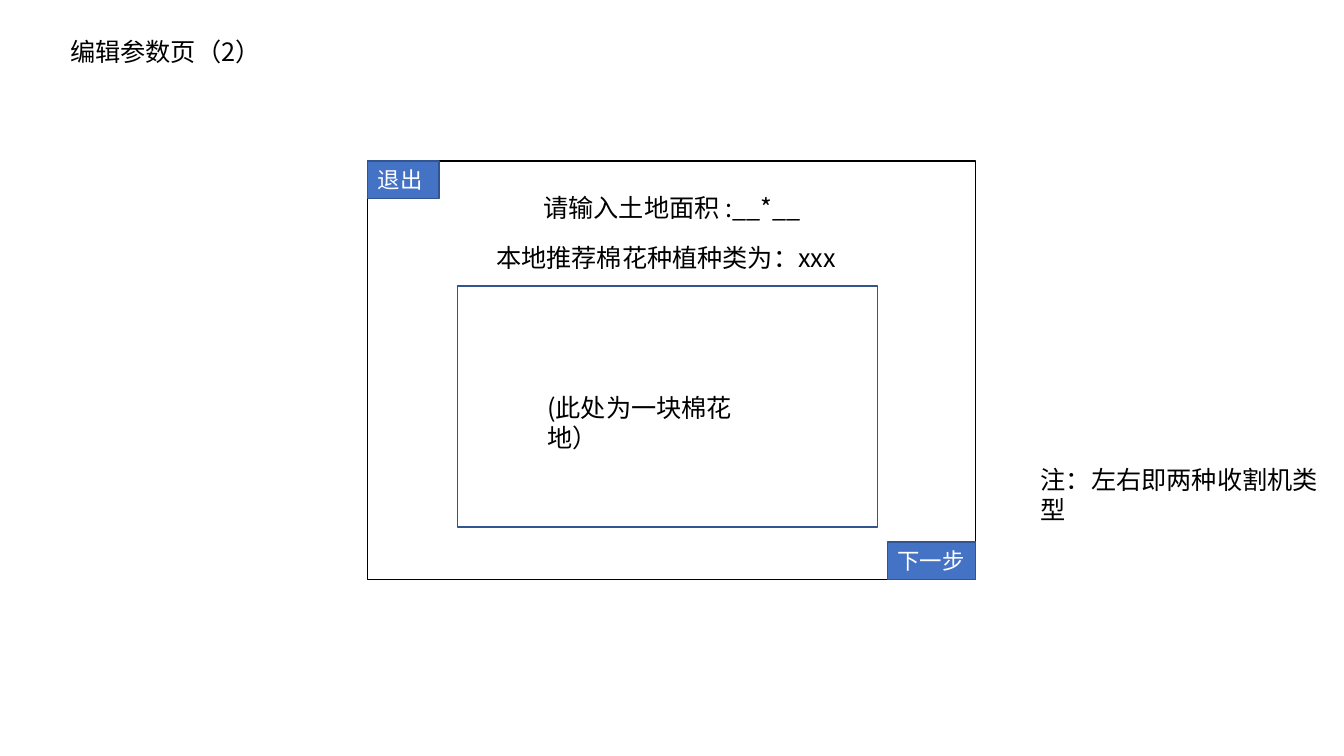
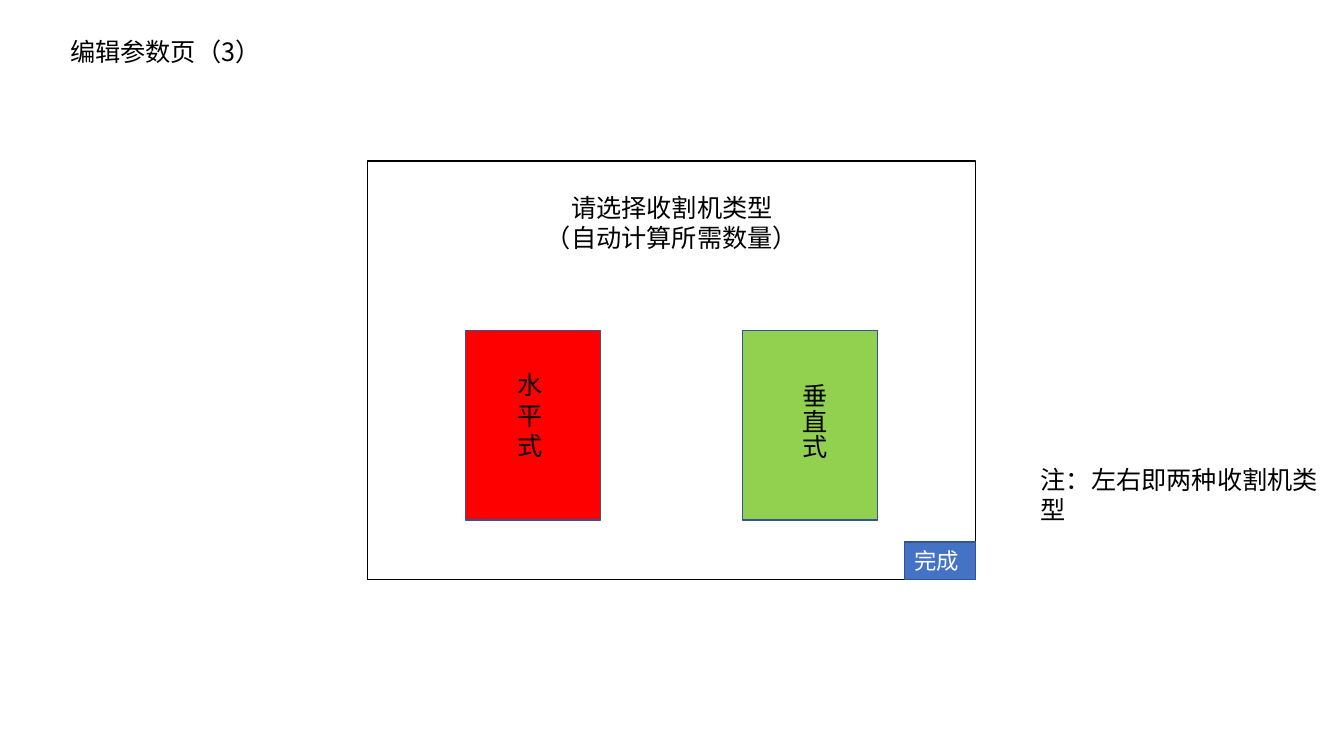
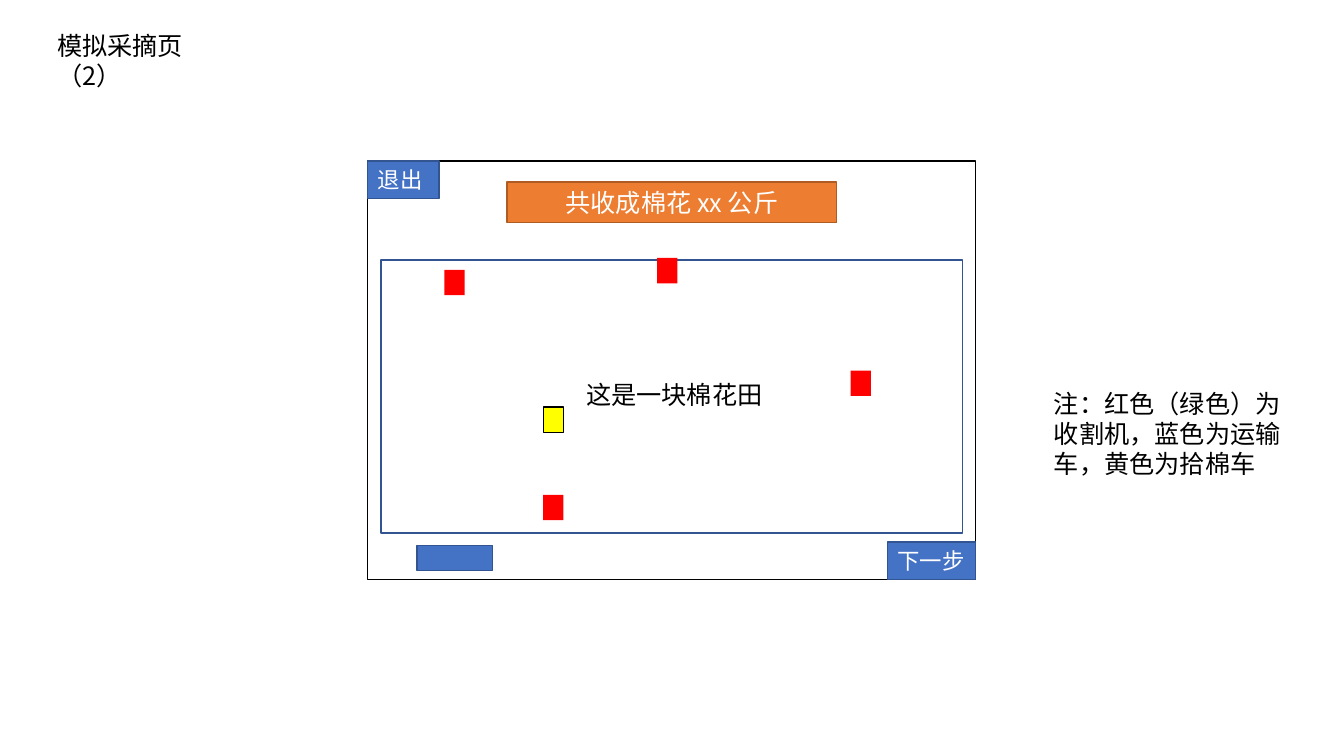
from dataclasses import dataclass

from lxml.etree import SubElement as Sub
from pptx import Presentation
from pptx.dml.color import RGBColor as Rgb
from pptx.enum.shapes import MSO_SHAPE as Kind
from pptx.enum.text import MSO_ANCHOR as Anchor, MSO_AUTO_SIZE as Fit, PP_ALIGN as Align
from pptx.oxml.ns import qn
from pptx.util import Cm, Pt


@dataclass(frozen=True)
class Theme:
    """Hold the colours, type sizes and font of the deck."""
    font: str = "Noto Sans CJK SC"
    body: int = 18
    small: int = 16
    line: int = 1
    black: str = "000000"
    white: str = "FFFFFF"
    blue: str = "4472C4"
    navy: str = "325491"
    orange: str = "ED7D31"
    brown: str = "AF5C24"
    red: str = "FF0000"
    green: str = "92D050"
    yellow: str = "FFFF00"


LOOK = Theme()
PAGE = (33.87, 19.05)
PANEL = (9.27, 4.06, 15.32, 10.54)
FRAME = dict(auto_size=Fit.SHAPE_TO_FIT_TEXT, word_wrap=True,
             vertical_anchor=Anchor.TOP)
ROW = 1.02
CAR = (0.51, 0.64)
TAB = 0.94


def within(box, part):
    """Shift a part into the box that holds it."""
    return (box[0] + part[0], box[1] + part[1], *part[2:])


def write(shape, text, size=LOOK.body, color=LOOK.black, align=Align.LEFT, turn=None):
    """Set the text of a shape and format every paragraph."""
    frame = shape.text_frame
    for name, value in FRAME.items():
        setattr(frame, name, value)
    frame.text = text
    style = dict(name=LOOK.font, size=Pt(size))
    for para in frame.paragraphs:
        para.alignment = align
        for run in para.runs:
            for name, value in style.items():
                setattr(run.font, name, value)
            run.font.color.rgb = Rgb.from_string(color)
    for props in shape.element.iter(qn("a:rPr")):
        Sub(props, qn("a:ea")).set("typeface", LOOK.font)
    if turn:
        next(shape.element.iter(qn("a:bodyPr"))).set("vert", turn)


def label(slide, box, text, **style):
    """Add a text box."""
    write(slide.shapes.add_textbox(*map(Cm, box)), text, **style)


def block(slide, box, fill=None, line=None):
    """Add a flat rectangle."""
    shape = slide.shapes.add_shape(Kind.RECTANGLE, *map(Cm, box))
    shape.shadow.inherit = False
    for paint, color in ((shape.fill, fill), (shape.line.fill, line)):
        if color:
            paint.solid()
            paint.fore_color.rgb = Rgb.from_string(color)
        else:
            paint.background()
    if line:
        shape.line.width = Pt(LOOK.line)
    return shape


def button(slide, box, text):
    """Add a blue button."""
    write(block(slide, box, LOOK.blue, LOOK.navy), text, LOOK.small, LOOK.white)


def leave(slide, box):
    """Add the exit button at the top left of a box."""
    button(slide, within(box, (0, 0, 1.8, TAB)), "退出")


def proceed(slide, box, text, width):
    """Add a button at the bottom right of a box."""
    button(slide, within(box, (box[2] - width, box[3] - TAB, width, TAB)), text)


def start(deck, title, head, note, side):
    """Add a slide with its title, screen outline and side note."""
    slide = deck.slides.add_slide(deck.slide_layouts[6])
    label(slide, head, title)
    block(slide, PANEL, line=LOOK.black)
    label(slide, side, note)
    return slide


def land(slide, box):
    """Fill a screen with the land size form."""
    block(slide, within(box, (2.26, 3.15, 10.59, 6.07)), line=LOOK.navy)
    for part, text in (((1.8, 0.66, 11.73, ROW), "请输入土地面积 :__*__"),
                       ((2.74, 1.93, 9.55, ROW), "本地推荐棉花种植种类为：xxx")):
        label(slide, within(box, part), text, align=Align.CENTER)
    label(slide, within(box, (4.27, 5.69, 6.05, ROW)), "(此处为一块棉花地）")
    leave(slide, box)
    proceed(slide, box, "下一步", 2.22)


def choice(slide, box):
    """Fill a screen with the two harvester types."""
    label(slide, within(box, (1.8, 0.66, 11.73, 1.8)),
          "请选择收割机类型\n（自动计算所需数量）", align=Align.CENTER)
    tiles = (("水平式", LOOK.red, (1.05, 0.86, 1.52, 2.57), None),
             ("垂直式", LOOK.green, (1.04, 1.09, 1.27, 2.59), "eaVert"))
    for col, (text, fill, part, turn) in enumerate(tiles):
        tile = within(box, (2.46 + col * 6.99, 4.27, 3.4, 4.78))
        block(slide, tile, fill, LOOK.navy)
        label(slide, within(tile, part), text, turn=turn)
    proceed(slide, box, "完成", 1.8)


def harvest(slide, box):
    """Fill a screen with the field and its vehicles."""
    banner = block(slide, within(box, (3.51, 0.53, 8.31, ROW)), LOOK.orange, LOOK.brown)
    write(banner, "共收成棉花 xx 公斤", color=LOOK.white, align=Align.CENTER)
    block(slide, within(box, (0.33, 2.49, 14.66, 6.88)), line=LOOK.navy)
    for spot in ((1.93, 2.74), (4.42, 8.41), (7.29, 2.44), (12.17, 5.38 - 0.1)):
        block(slide, within(box, spot + CAR), LOOK.red)
    block(slide, within(box, (1.24, 9.68, 1.9, 0.64)), LOOK.blue, LOOK.navy)
    block(slide, within(box, (4.42, 6.2) + CAR), LOOK.yellow, LOOK.black)
    label(slide, within(box, (3.66, 5.38, 8.13, ROW)), "这是一块棉花田",
          align=Align.CENTER)
    leave(slide, box)
    proceed(slide, box, "下一步", 2.22)


def main():
    """Build and save the deck."""
    deck = Presentation()
    deck.slide_width, deck.slide_height = map(Cm, PAGE)
    edit = (1.52, 0.79, 5.41, ROW)
    types = ("注：左右即两种收割机类型", (25.98, 11.58, 7.7, 1.8))
    cars = ("注：红色（绿色）为收割机，蓝色为运输车，黄色为拾棉车",
            (26.31, 9.65, 6.68, 2.57))
    pages = (("编辑参数页（2）", edit, types, land),
             ("编辑参数页（3）", edit, types, choice),
             ("模拟采摘页（2）", (1.19, 0.64, 4.7, ROW), cars, harvest))
    for title, head, note, fill in pages:
        fill(start(deck, title, head, *note), PANEL)
    deck.save("out.pptx")


if __name__ == "__main__":
    main()
